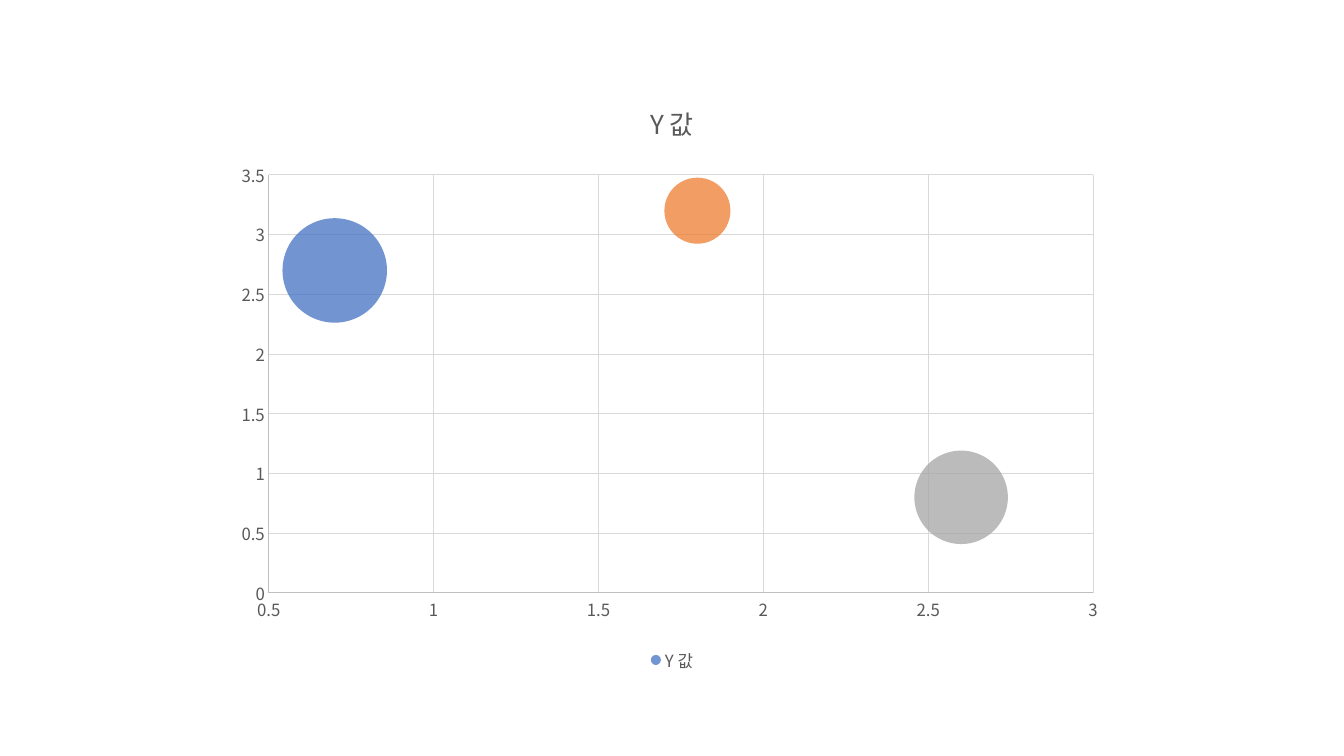
import lxml.etree
import pptx
import pptx.chart.data
import pptx.dml.color
import pptx.enum.chart
import pptx.oxml.ns
import pptx.util

TITLE = "Y 값"
SERIES_NAME = "Y 값"
BUBBLES = [
    {"x": 0.7, "y": 2.7, "size": 10, "color": "4472C4"},
    {"x": 1.8, "y": 3.2, "size": 4, "color": "ED7D31"},
    {"x": 2.6, "y": 0.8, "size": 8, "color": "A5A5A5"},
]
AXIS_RANGES = {"category_axis": (0.5, 3), "value_axis": (0, 3.5)}
AXIS_STEP = 0.5
SLIDE_SIZE = (13.33, 7.5)
CHART_SHARES = {"left": 1 / 6, "top": 0.105, "width": 2 / 3, "height": 0.79}
PLOT_SHARES = {"x": 0.05, "y": 0.16, "w": 0.92, "h": 0.7}
THEME = {
    "font": "Noto Sans CJK KR",
    "text": "595959",
    "axis": "BFBFBF",
    "grid": "D9D9D9",
    "title_size": 18.6,
    "label_size": 12,
    "line_width": 0.75,
    "opacity": 75,
}


def add_node(parent, tag, **attributes):
    return lxml.etree.SubElement(parent, pptx.oxml.ns.qn(tag), attributes)


def color_of(code):
    return pptx.dml.color.RGBColor.from_string(code)


def format_font(font, size):
    font.name = THEME["font"]
    font.size = pptx.util.Pt(size)
    font.bold = False
    font.color.rgb = color_of(THEME["text"])


def write_text(frame, text, size):
    span = frame.paragraphs[0].add_run()
    span.text = text
    format_font(span.font, size)
    add_node(span.font._element, "a:ea", typeface=THEME["font"])


def format_line(line, color):
    line.color.rgb = color_of(color)
    line.width = pptx.util.Pt(THEME["line_width"])


def format_fill(fill, color):
    fill.solid()
    fill.fore_color.rgb = color_of(color)
    shade = fill._xPr.find(".//" + pptx.oxml.ns.qn("a:srgbClr"))
    add_node(shade, "a:alpha", val=str(THEME["opacity"] * 1000))


def format_axis(axis, lowest, highest):
    axis.minimum_scale, axis.maximum_scale = lowest, highest
    axis.major_unit = AXIS_STEP
    axis.major_tick_mark = pptx.enum.chart.XL_TICK_MARK.NONE
    axis.minor_tick_mark = pptx.enum.chart.XL_TICK_MARK.NONE
    axis.tick_labels.number_format = "General"
    axis.tick_labels.number_format_is_linked = False
    axis.has_major_gridlines = True
    format_line(axis.major_gridlines.format.line, THEME["grid"])
    format_line(axis.format.line, THEME["axis"])
    format_font(axis.tick_labels.font, THEME["label_size"])


def place_plot(chart):
    area = chart._chartSpace.chart.plotArea
    for old in area.findall(pptx.oxml.ns.qn("c:layout")):
        area.remove(old)
    layout = add_node(area, "c:layout")
    area.insert(0, layout)
    manual = add_node(layout, "c:manualLayout")
    add_node(manual, "c:layoutTarget", val="inner")
    for edge in ("x", "y"):
        add_node(manual, f"c:{edge}Mode", val="edge")
    for side, share in PLOT_SHARES.items():
        add_node(manual, f"c:{side}", val=str(share))


def add_bubble_chart(page, deck):
    data = pptx.chart.data.BubbleChartData(number_format="General")
    group = data.add_series(SERIES_NAME)
    for bubble in BUBBLES:
        group.add_data_point(bubble["x"], bubble["y"], bubble["size"])
    left, top, width, height = (
        round(CHART_SHARES[side] * length)
        for side, length in zip(CHART_SHARES, (deck.slide_width, deck.slide_height) * 2)
    )
    chart = page.shapes.add_chart(
        pptx.enum.chart.XL_CHART_TYPE.BUBBLE, left, top, width, height, data
    ).chart
    format_font(chart.font, THEME["label_size"])
    chart.has_title = True
    chart.chart_title.include_in_layout = False
    write_text(chart.chart_title.text_frame, TITLE, size=THEME["title_size"])
    chart.has_legend = True
    chart.legend.position = pptx.enum.chart.XL_LEGEND_POSITION.BOTTOM
    chart.legend.include_in_layout = False
    format_font(chart.legend.font, THEME["label_size"])
    for name, limits in AXIS_RANGES.items():
        format_axis(getattr(chart, name), *limits)
    series = chart.plots[0].series[0]
    format_fill(series.format.fill, BUBBLES[0]["color"])
    series.format.line.fill.background()
    for index, bubble in enumerate(BUBBLES):
        point = series.points[index].format
        format_fill(point.fill, bubble["color"])
        point.line.fill.background()
    place_plot(chart)


deck = pptx.Presentation()
deck.slide_width, deck.slide_height = map(pptx.util.Inches, SLIDE_SIZE)
page = deck.slides.add_slide(deck.slide_layouts[6])
add_bubble_chart(page, deck)
deck.save("out.pptx")
